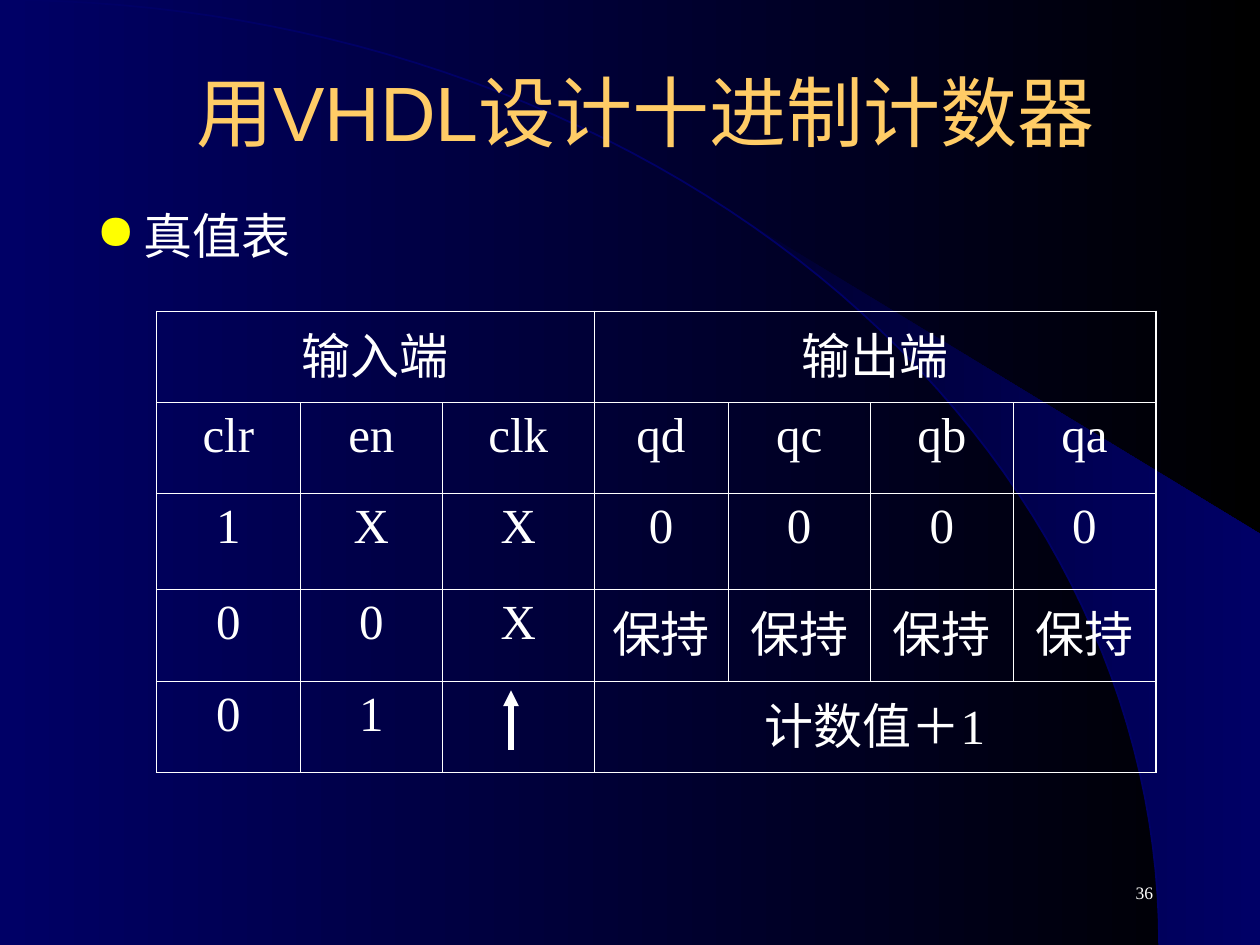
from math import cos, radians, sin

from lxml.etree import SubElement
from pptx import Presentation
from pptx.dml.color import RGBColor
from pptx.enum.shapes import MSO_CONNECTOR as CONN
from pptx.enum.text import MSO_ANCHOR as ANCHOR, MSO_AUTO_SIZE as AUTO, PP_ALIGN as ALIGN
from pptx.oxml.ns import qn
from pptx.util import Pt

COLORS = {
    "navy": "000066",
    "dark": "00002F",
    "black": "000000",
    "white": "FFFFFF",
    "gold": "FFCC66",
    "yellow": "FFFF00",
}
SERIF, SANS = "Times New Roman", "Arial"
SLIDE_W, SLIDE_H = 720, 540

COL_WIDTHS = [82, 81.5, 86.5, 76.5, 81.5, 81.5, 81.5]
ROW_HEIGHTS = [52, 52, 55, 52.5, 52]
TRUTH_TABLE = [
    ["输入端", "", "", "输出端", "", "", ""],
    ["clr", "en", "clk", "qd", "qc", "qb", "qa"],
    ["1", "X", "X", "0", "0", "0", "0"],
    ["0", "0", "X", "保持", "保持", "保持", "保持"],
    ["0", "1", "", "计数值＋1", "", "", ""],
]
MERGES = [(0, 0, 2), (0, 3, 6), (4, 3, 6)]  # row, first column, last column


def rgb(name):
    return RGBColor.from_string(COLORS[name])


def set_gradient(fill, start, end):
    fill.gradient()
    fill.gradient_angle = 0
    for stop, name in zip(fill.gradient_stops, (start, end)):
        stop.color.rgb = rgb(name)


def add_run(p, text, size, color="white", font=SERIF):
    r = p.add_run()
    r.text = text
    r.font.size = Pt(size)
    r.font.name = font
    r.font.color.rgb = rgb(color)


def add_text_box(s, x, y, w, h, anchor):
    tf = s.shapes.add_textbox(Pt(x), Pt(y), Pt(w), Pt(h)).text_frame
    tf.word_wrap = True
    tf.vertical_anchor = anchor
    return tf.paragraphs[0]


def add_outline(s, points, close):
    pts = [(Pt(x), Pt(y)) for x, y in points]
    builder = s.shapes.build_freeform(*pts[0])
    builder.add_line_segments(pts[1:], close=close)
    sp = builder.convert_to_shape()
    sp.shadow.inherit = False
    return sp


def arc_points(x, y, w, h, start, steps):
    """Quarter ellipse from the top of the box, clockwise to its right side."""
    angles = [radians(start + (90 - start) * i / steps) for i in range(steps + 1)]
    return [(x + w * sin(a), y + h * (1 - cos(a))) for a in angles]


def add_backdrop(s, x, y, w, h):
    set_gradient(s.background.fill, "navy", "black")
    arc = (x, y, w * 0.92, h)

    # Wedge between the arc and the right edge
    corners = [(x + w, y + h), (x + w, y + h * 0.565)]
    wedge = add_outline(s, arc_points(*arc, 39.8, 24) + corners, close=True)
    set_gradient(wedge.fill, "dark", "navy")
    wedge.line.fill.background()

    # Thin arc line
    line = add_outline(s, arc_points(*arc, 0, 60), close=False)
    line.fill.background()
    line.line.color.rgb = rgb("navy")
    line.line.width = Pt(1)


def add_title(s, x, y, w, h):
    title = s.shapes.title
    s.shapes.element.append(title.element)  # in front of the backdrop
    title.left, title.top, title.width, title.height = Pt(x), Pt(y), Pt(w), Pt(h)
    tf = title.text_frame
    tf.auto_size = AUTO.NONE
    tf.vertical_anchor = ANCHOR.MIDDLE
    p = tf.paragraphs[0]
    p.alignment = ALIGN.CENTER
    add_run(p, "用VHDL设计十进制计数器", 44, "gold", SANS)


def add_bullet(s, x, y, w, h):
    p = add_text_box(s, x, y, w, h, ANCHOR.TOP)
    pPr = p._p.get_or_add_pPr()
    pPr.set("marL", str(Pt(27)))
    pPr.set("indent", str(Pt(-27)))
    color = SubElement(pPr, qn("a:buClr"))
    SubElement(color, qn("a:srgbClr"), val=COLORS["yellow"])
    SubElement(pPr, qn("a:buChar"), char="●")
    add_run(p, "真值表", 28)


def set_borders(cell, row, col):
    outer = {
        "L": col == 0,
        "R": col + cell.span_width == len(COL_WIDTHS),
        "T": row == 0,
        "B": row == len(ROW_HEIGHTS) - 1,
    }
    tcPr = cell._tc.get_or_add_tcPr()
    for side, is_outer in outer.items():
        width = Pt(1.08 if is_outer else 0.45)
        ln = SubElement(tcPr, qn(f"a:ln{side}"), w=str(width))
        fill = SubElement(ln, qn("a:solidFill"))
        SubElement(fill, qn("a:srgbClr"), val=COLORS["white"])


def add_truth_table(s, x, y, w, h):
    frame = s.shapes.add_table(len(ROW_HEIGHTS), len(COL_WIDTHS), Pt(x), Pt(y), Pt(w), Pt(h))
    table = frame.table
    table.first_row = table.horz_banding = False
    for column, width in zip(table.columns, COL_WIDTHS):
        column.width = Pt(width)
    for row, height in zip(table.rows, ROW_HEIGHTS):
        row.height = Pt(height)
    for row, first, last in MERGES:
        table.cell(row, first).merge(table.cell(row, last))

    for i, texts in enumerate(TRUTH_TABLE):
        for j, text in enumerate(texts):
            cell = table.cell(i, j)
            if not cell.is_spanned:
                set_borders(cell, i, j)
            cell.fill.background()
            if text:
                p = cell.text_frame.paragraphs[0]
                p.alignment = ALIGN.CENTER
                add_run(p, text, 28)


def add_rising_edge(s, x, y, h):
    arrow = s.shapes.add_connector(CONN.STRAIGHT, Pt(x), Pt(y + h), Pt(x), Pt(y))
    arrow.line.color.rgb = rgb("white")
    arrow.line.width = Pt(3)
    SubElement(arrow.line._get_or_add_ln(), qn("a:tailEnd"), type="triangle")
    SubElement(arrow._element.spPr, qn("a:effectLst"))


def add_page_number(s, x, y, w, h):
    p = add_text_box(s, x, y, w, h, ANCHOR.MIDDLE)
    p.alignment = ALIGN.RIGHT
    add_run(p, "36", 10)


def main():
    prs = Presentation()
    prs.slide_width, prs.slide_height = Pt(SLIDE_W), Pt(SLIDE_H)
    s = prs.slides.add_slide(prs.slide_layouts[5])
    add_backdrop(s, 0, 0, SLIDE_W, SLIDE_H)
    add_page_number(s, 516, 492, 150, 36)
    add_title(s, 48, 24, 642, 78)
    add_bullet(s, 48, 114, 131, 52)
    add_truth_table(s, 89.5, 178, sum(COL_WIDTHS), sum(ROW_HEIGHTS))
    add_rising_edge(s, 292, 394.5, 34)
    prs.save("out.pptx")


if __name__ == "__main__":
    main()
